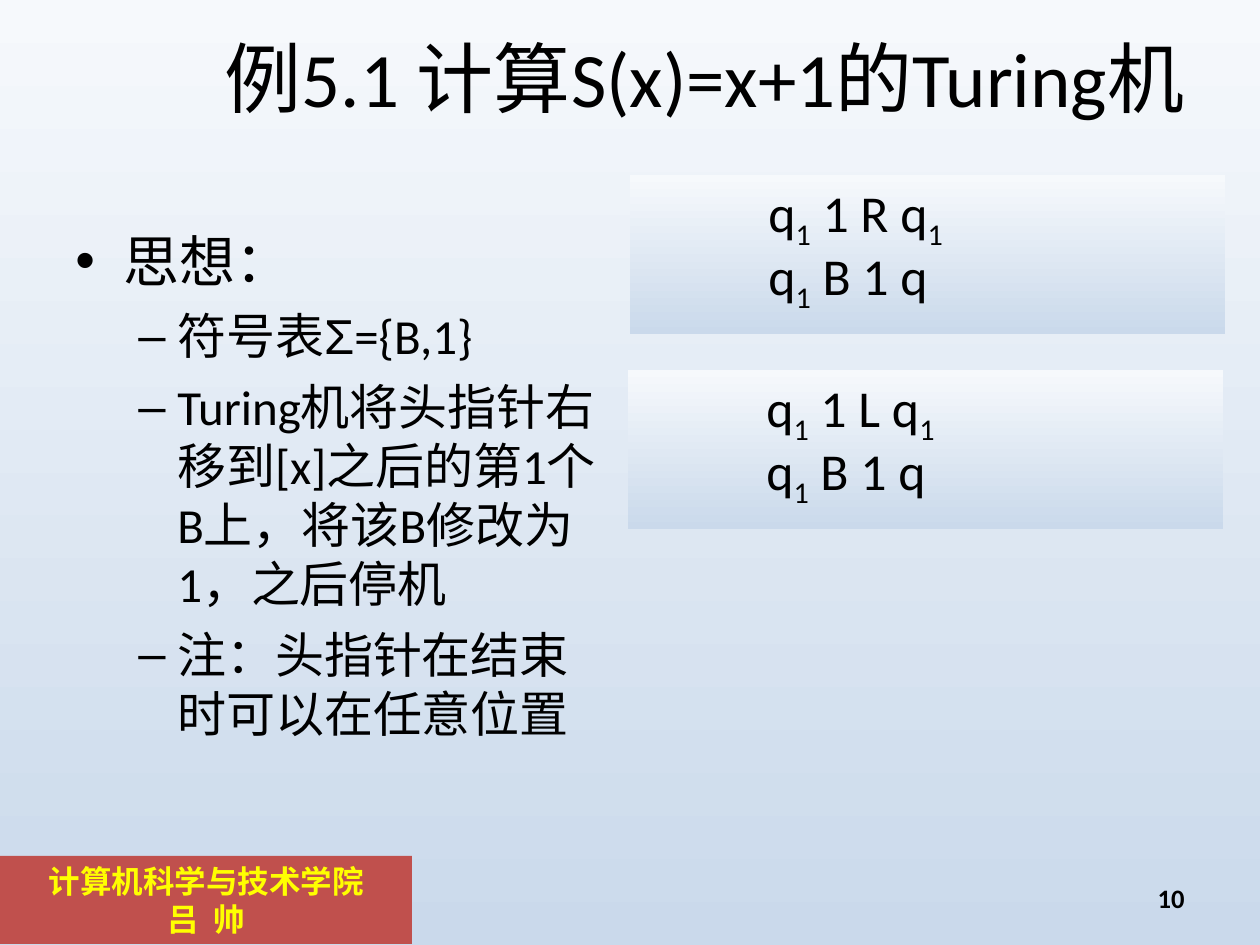
from lxml import etree
from pptx import Presentation
from pptx.dml.color import RGBColor
from pptx.enum.shapes import MSO_SHAPE
from pptx.enum.text import MSO_ANCHOR, PP_ALIGN
from pptx.oxml.ns import qn
from pptx.util import Emu, Pt

PX = 914400 // 126
RECTANGLE = MSO_SHAPE.RECTANGLE
TOP, MIDDLE = MSO_ANCHOR.TOP, MSO_ANCHOR.MIDDLE
LEFT, CENTER, RIGHT = PP_ALIGN.LEFT, PP_ALIGN.CENTER, PP_ALIGN.RIGHT
TAB = 126
SUB = "-25000"


def shade(fill):
    fill.gradient()
    fill.gradient_angle = 270
    for stop, tone in zip(fill.gradient_stops, ("F6F9FC", "CAD9EB")):
        stop.color.rgb = RGBColor.from_string(tone)


def write(box, paragraphs, para_format, font_format, color="000000", anchor=TOP):
    frame = box.text_frame
    frame.word_wrap = True
    frame.vertical_anchor = anchor
    for index, (spans, bullet) in enumerate(paragraphs):
        para = frame.add_paragraph() if index else frame.paragraphs[0]
        properties = para._p.get_or_add_pPr()
        if bullet:
            mark, level, margin, hanging, space = bullet
            para.level = level
            properties.set("marL", str(margin * PX))
            properties.set("indent", str(-hanging * PX))
            etree.SubElement(properties, qn("a:buFont"), typeface="Arial")
            etree.SubElement(properties, qn("a:buChar"), char=mark)
            if index:
                para.space_before = Pt(space)
        if any("\t" in words for words, _ in spans):
            tabs = etree.SubElement(properties, qn("a:tabLst"))
            etree.SubElement(tabs, qn("a:tab"), pos=str(TAB * PX), algn="l")
        for name, value in para_format.items():
            setattr(para, name, value)
        for words, changes in spans:
            span = para.add_run()
            span.text = words
            for name, value in {"name": "Calibri", **font_format}.items():
                setattr(span.font, name, value)
            span.font.color.rgb = RGBColor.from_string(color)
            if "name" in changes:
                span.font.name = changes["name"]
            if "baseline" in changes:
                span._r.get_or_add_rPr().set("baseline", changes["baseline"])


deck = Presentation()
deck.slide_width, deck.slide_height = Emu(1260 * PX), Emu(945 * PX)
page = deck.slides.add_slide(deck.slide_layouts[6])
shade(page.background.fill)

banner = page.shapes.add_shape(RECTANGLE, 0, 856 * PX, 412 * PX, 88 * PX)
banner.shadow.inherit = False
banner.fill.solid()
banner.fill.fore_color.rgb = RGBColor.from_string("C0504D")
banner.line.fill.background()
write(
    banner,
    [([("计算机科学与技术学院", {})], None), ([("吕  帅", {})], None)],
    {"alignment": CENTER},
    {"name": "Arial", "size": Pt(18), "bold": True},
    "FFFF00",
)

title = page.shapes.add_textbox(63 * PX, 38 * PX, 1134 * PX, 77 * PX)
write(
    title,
    [([("例5.1 计算S(x)=x+1的Turing机", {})], None)],
    {"alignment": RIGHT},
    {"size": Pt(44)},
    anchor=MIDDLE,
)

DOT = ("•", 0, 48, 48, 8)
DASH = ("–", 1, 102, 39, 7)
idea = page.shapes.add_textbox(63 * PX, 220 * PX, 567 * PX, 624 * PX)
write(
    idea,
    [
        ([("思想：", {})], DOT),
        ([("符号表", {}), ("Σ", {"name": "Arial"}), ("={B,1}", {})], DASH),
        ([("Turing机将头指针右移到[x]之后的第1个B上，将该B修改为1，之后停机", {})], DASH),
        ([("注：头指针在结束时可以在任意位置", {})], DASH),
    ],
    {"alignment": LEFT},
    {"size": Pt(28)},
)
idea.text_frame.paragraphs[0].runs[0].font.size = Pt(32)

number = page.shapes.add_textbox(903 * PX, 876 * PX, 294 * PX, 50 * PX)
write(
    number,
    [([("10", {})], None)],
    {"alignment": RIGHT, "line_spacing": 0.8},
    {"size": Pt(15.2), "bold": True},
    anchor=MIDDLE,
)

low = ("1", {"baseline": SUB})
for left, top, move in ((630, 175, "R"), (628, 370, "L")):
    program = page.shapes.add_shape(RECTANGLE, left * PX, top * PX, 595 * PX, 159 * PX)
    program.shadow.inherit = False
    shade(program.fill)
    program.line.fill.background()
    write(
        program,
        [
            ([("\tq", {}), low, (f" 1 {move} q", {}), low], None),
            ([("\tq", {}), low, (" B 1 q", {})], None),
        ],
        {"alignment": LEFT, "line_spacing": 0.9},
        {"size": Pt(29.6)},
    )

deck.save("out.pptx")
